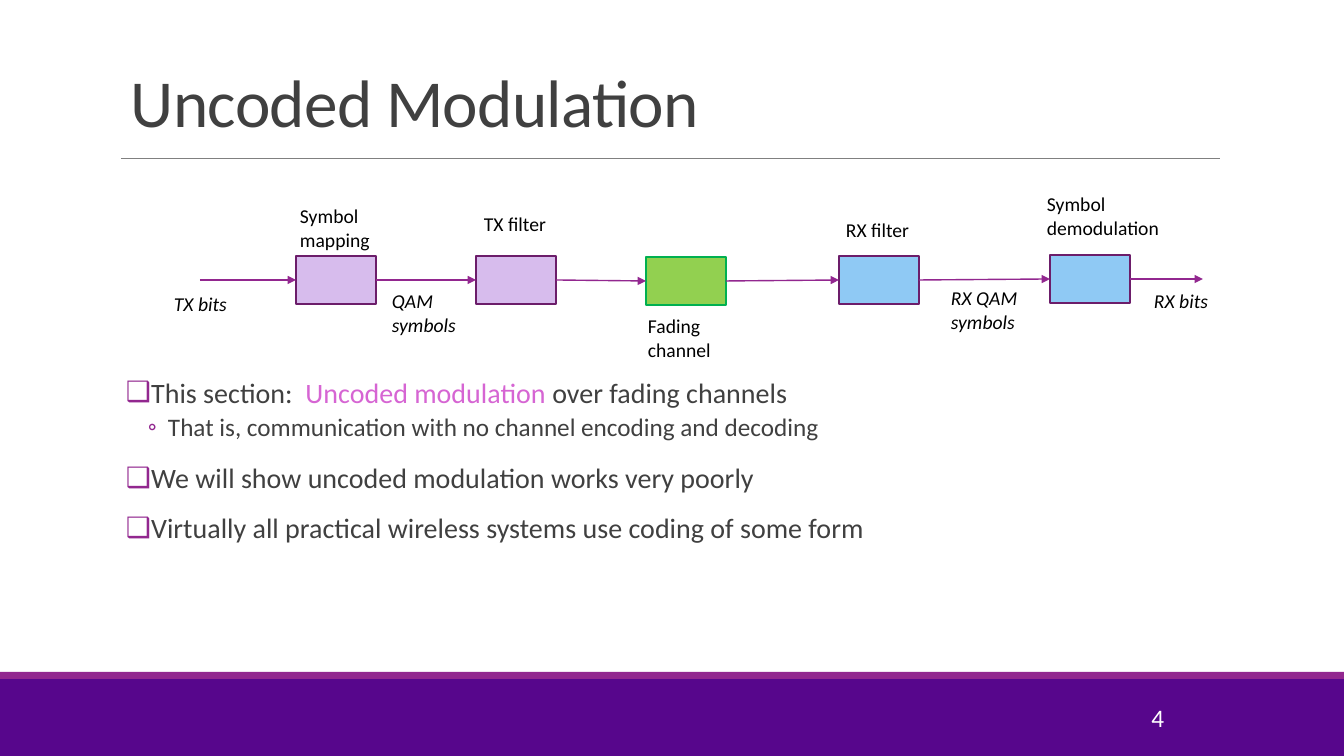
from itertools import pairwise

from pptx import Presentation
from pptx.dml.color import RGBColor
from pptx.enum.shapes import MSO_CONNECTOR, MSO_SHAPE
from pptx.enum.text import MSO_ANCHOR, PP_ALIGN
from pptx.oxml.ns import qn
from pptx.util import Pt
from lxml.etree import SubElement

PX = 914400 / 100.8  # EMU in one px

WHITE = RGBColor(0xFF, 0xFF, 0xFF)
BLACK = RGBColor(0, 0, 0)
DARK_GRAY = RGBColor(0x40, 0x40, 0x40)
RULE_GRAY = RGBColor(0x80, 0x80, 0x80)
FOOTER_VIOLET = RGBColor(0x57, 0x06, 0x8C)
PURPLE = RGBColor(0x92, 0x27, 0x8F)
DARK_PURPLE = RGBColor(0x6C, 0x1D, 0x6A)
PINK = RGBColor(0xD6, 0x65, 0xD3)
LILAC = RGBColor(0xD7, 0xBC, 0xED)
LIME = RGBColor(0x92, 0xD0, 0x50)
GREEN = RGBColor(0x00, 0xB0, 0x50)
SKY = RGBColor(0x8F, 0xC9, 0xF4)


def emu(*lengths):
    return [round(length * PX) for length in lengths]


def add_run(paragraph, text, size, color, italic=None):
    run = paragraph.add_run()
    run.text = text
    run.font.name = "Calibri"
    run.font.size = Pt(size)
    run.font.color.rgb = color
    run.font.italic = italic
    return run


prs = Presentation()
prs.slide_width, prs.slide_height = emu(1344, 756)
slide = prs.slides.add_slide(prs.slide_layouts[6])
shapes = slide.shapes

# Footer bands
for top, height, color in [(679, 77, FOOTER_VIOLET), (672, 7, PURPLE)]:
    band = shapes.add_shape(MSO_SHAPE.RECTANGLE, *emu(0, top, 1344, height))
    band.shadow.inherit = False
    band.fill.solid()
    band.fill.fore_color.rgb = color
    band.line.fill.background()

# Title and slide number
title = shapes.add_textbox(*emu(121, 31, 1109, 115)).text_frame
title.word_wrap = True
title.vertical_anchor = MSO_ANCHOR.BOTTOM
title.paragraphs[0].line_spacing = 0.85
title_run = add_run(title.paragraphs[0], "Uncoded Modulation", 48, DARK_GRAY)
title_run.font._element.set("spc", "-50")

number = shapes.add_textbox(*emu(1030, 697, 144, 40)).text_frame
number.word_wrap = True
number.vertical_anchor = MSO_ANCHOR.MIDDLE
number.paragraphs[0].alignment = PP_ALIGN.RIGHT
add_run(number.paragraphs[0], "4", 18, WHITE)

# Stages of the link
stages = []
for left, top, fill, outline in [
    (296, 256, LILAC, DARK_PURPLE),
    (476, 256, LILAC, DARK_PURPLE),
    (646, 257, LIME, GREEN),
    (839, 256, SKY, DARK_PURPLE),
    (1050, 255, SKY, DARK_PURPLE),
]:
    stage = shapes.add_shape(MSO_SHAPE.RECTANGLE, *emu(left, top, 80, 48))
    stage.shadow.inherit = False
    stage.fill.solid()
    stage.fill.fore_color.rgb = fill
    stage.line.color.rgb = outline
    stage.line.width = Pt(1.25)
    stages.append(stage)

# Title rule, then the arrows into, between and out of the stages
rule = shapes.add_connector(MSO_CONNECTOR.STRAIGHT, *emu(121, 158, 1220, 158))
rule.line.color.rgb = RULE_GRAY
rule.line.width = Pt(0.5)
SubElement(rule._element.spPr, qn("a:effectLst"))

for source, target in pairwise([None, *stages, None]):
    arrow = shapes.add_connector(MSO_CONNECTOR.STRAIGHT, *emu(200, 280, 1203, 279))
    if source:
        arrow.begin_connect(source, 3)
    if target:
        arrow.end_connect(target, 1)
    arrow.line.color.rgb = PURPLE
    arrow.line.width = Pt(1)
    SubElement(arrow.line._get_or_add_ln(), qn("a:tailEnd"), type="triangle")
    SubElement(arrow._element.spPr, qn("a:effectLst"))

# Stage names upright, signal names in italics
for text, left, top, width, height, italic in [
    ("Symbol mapping", 290, 199, 91, 58, False),
    ("TX filter", 474, 207, 104, 34, False),
    ("Fading channel", 638, 309, 130, 58, False),
    ("RX filter", 836, 213, 105, 34, False),
    ("Symbol demodulation", 1037, 187, 142, 58, False),
    ("TX bits", 164, 287, 139, 34, True),
    ("QAM symbols", 382, 284, 93, 58, True),
    ("RX QAM symbols", 941, 281, 93, 58, True),
    ("RX bits", 1144, 284, 93, 34, True),
]:
    label = shapes.add_textbox(*emu(left, top, width, height)).text_frame
    label.word_wrap = True
    add_run(label.paragraphs[0], text, 14, BLACK, italic)

# Bulleted text
body = shapes.add_textbox(*emu(126, 374, 1104, 273)).text_frame
body.word_wrap = True
body.margin_left = body.margin_right = 0
for index, (level, parts) in enumerate([
    (0, [("This section:  ", DARK_GRAY), ("Uncoded modulation ", PINK),
         ("over fading channels", DARK_GRAY)]),
    (1, [("That is, communication with no channel encoding and decoding", DARK_GRAY)]),
    (0, [("We will show uncoded modulation works very poorly", DARK_GRAY)]),
    (0, [("Virtually all practical wireless systems use coding of some form", DARK_GRAY)]),
]):
    bullet, margin, hang, size, before, after = [
        ("❑", 10, 10, 20, 12, 2),
        ("◦", 42, 20, 18, 2, 4),
    ][level]
    paragraph = body.add_paragraph() if index else body.paragraphs[0]
    paragraph.level = level
    paragraph.line_spacing = 0.9
    paragraph.space_before = Pt(before if index else 0)
    paragraph.space_after = Pt(after)
    properties = paragraph._p.get_or_add_pPr()
    margin_emu, hang_emu = emu(margin, hang)
    properties.set("marL", str(margin_emu))
    properties.set("indent", str(-hang_emu))
    bullet_color = SubElement(properties, qn("a:buClr"))
    SubElement(bullet_color, qn("a:srgbClr"), val=str(PURPLE))
    SubElement(properties, qn("a:buFont"), typeface="Calibri")
    SubElement(properties, qn("a:buChar"), char=bullet)
    for text, color in parts:
        add_run(paragraph, text, size, color)

prs.save("out.pptx")
